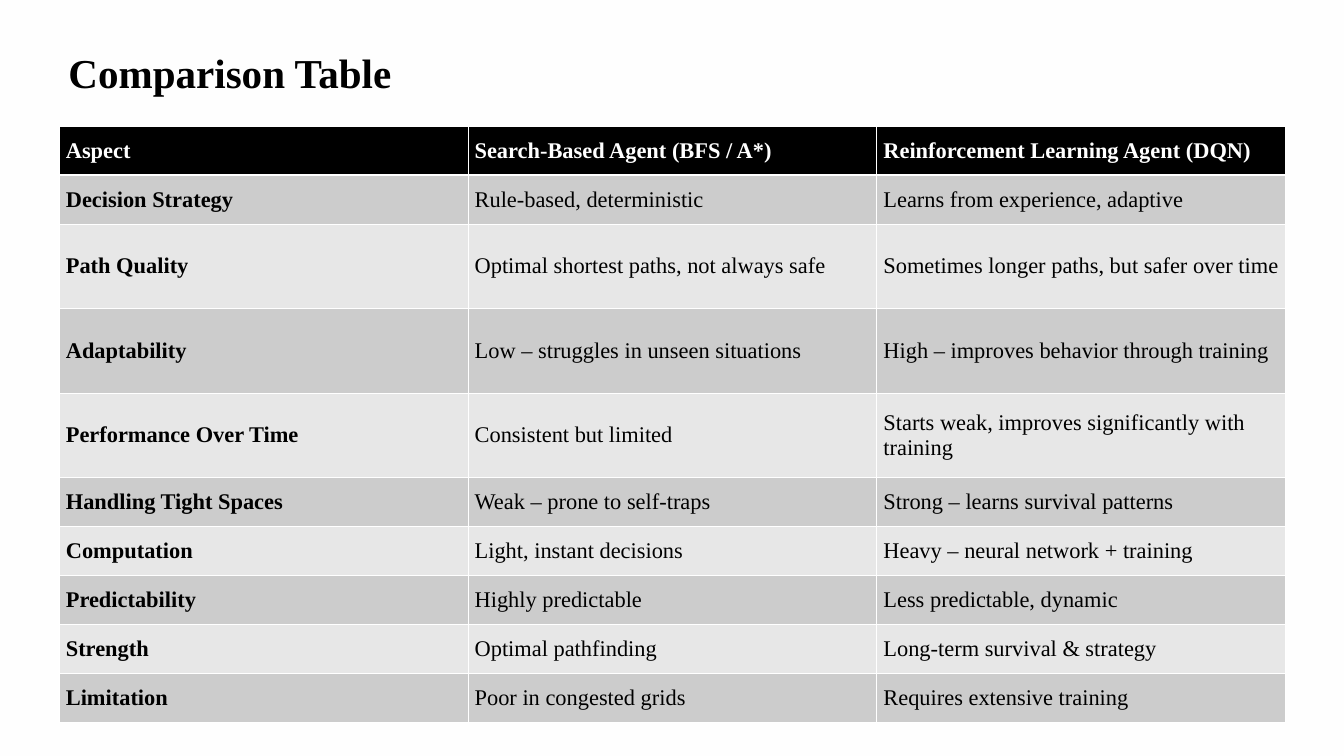
import pptx
import pptx.dml.color
import pptx.enum.text
import pptx.oxml
import pptx.util
from dataclasses import dataclass


@dataclass(frozen=True)
class Theme:
    font: str = "Times New Roman"
    background: str = "FEFEFE"
    ink: str = "000000"
    white: str = "FFFFFF"
    bands: tuple = ("CCCCCC", "E7E7E7")
    title_size: int = 44
    cell_size: int = 24
    thin: int = 1
    thick: int = 3


def rgb(value):
    return pptx.dml.color.RGBColor.from_string(value)


class Deck:
    """Holds the theme and current slide; lengths are units of an 80 x 45 grid."""

    def __init__(self, theme):
        self.theme = theme
        self.prs = pptx.Presentation()
        self.prs.slide_width = pptx.util.Inches(20)
        self.prs.slide_height = pptx.util.Inches(11.25)
        self.s = self.prs.slides.add_slide(self.prs.slide_layouts[6])
        fill = self.s.background.fill
        fill.solid()
        fill.fore_color.rgb = rgb(theme.background)

    def grid(self, *units):
        return [round(u * self.prs.slide_width / 80) for u in units]

    def set_text(self, tf, text, size, color, bold):
        p = tf.paragraphs[0]
        p.text = text
        p.font.name = self.theme.font
        p.font.size = pptx.util.Pt(size)
        p.font.bold = bold
        p.font.color.rgb = rgb(color)

    def title(self, text, x, y, w, h):
        tf = self.s.shapes.add_textbox(*self.grid(x, y, w, h)).text_frame
        tf.word_wrap = True
        self.set_text(tf, text, self.theme.title_size, self.theme.ink, True)

    def borders(self, cell, widths):
        tc_pr = cell._tc.get_or_add_tcPr()
        for side, width in zip("LRTB", widths):
            tc_pr.append(pptx.oxml.parse_xml(
                f'<a:ln{side} xmlns:a="http://schemas.openxmlformats.org/drawingml/2006/main"'
                f' w="{pptx.util.Pt(width)}"><a:solidFill><a:srgbClr val="{self.theme.white}"/>'
                f'</a:solidFill></a:ln{side}>'))

    def table(self, rows, heights, x, y, w):
        t = self.theme
        columns = len(rows[0])
        frame = self.s.shapes.add_table(
            len(rows), columns, *self.grid(x, y, w, sum(heights)))
        table = frame.table
        for column in table.columns:
            column.width = self.grid(w / columns)[0]
        for i, (texts, height) in enumerate(zip(rows, heights)):
            table.rows[i].height = self.grid(height)[0]
            header = i == 0
            top = t.thick if i == 1 else t.thin
            bottom = t.thick if header else t.thin
            for j, text in enumerate(texts):
                cell = table.cell(i, j)
                self.borders(cell, (t.thin, t.thin, top, bottom))
                cell.fill.solid()
                cell.fill.fore_color.rgb = rgb(t.ink if header else t.bands[(i - 1) % 2])
                cell.vertical_anchor = pptx.enum.text.MSO_ANCHOR.MIDDLE
                self.set_text(cell.text_frame, text, t.cell_size,
                              t.white if header else t.ink, header or j == 0)


ROWS = [
    ("Aspect", "Search-Based Agent (BFS / A*)", "Reinforcement Learning Agent (DQN)"),
    ("Decision Strategy", "Rule-based, deterministic", "Learns from experience, adaptive"),
    ("Path Quality", "Optimal shortest paths, not always safe",
     "Sometimes longer paths, but safer over time"),
    ("Adaptability", "Low – struggles in unseen situations",
     "High – improves behavior through training"),
    ("Performance Over Time", "Consistent but limited",
     "Starts weak, improves significantly with training"),
    ("Handling Tight Spaces", "Weak – prone to self-traps", "Strong – learns survival patterns"),
    ("Computation", "Light, instant decisions", "Heavy – neural network + training"),
    ("Predictability", "Highly predictable", "Less predictable, dynamic"),
    ("Strength", "Optimal pathfinding", "Long-term survival & strategy"),
    ("Limitation", "Poor in congested grids", "Requires extensive training"),
]
SINGLE, DOUBLE = 2.91, 5.03


def main():
    deck = Deck(Theme())

    # Comparison table: three tall rows among single-line ones
    heights = [SINGLE] * 2 + [DOUBLE] * 3 + [SINGLE] * 5
    deck.table(ROWS, heights, x=3.52, y=7.52, w=73)

    # Title
    deck.title("Comparison Table", x=3.68, y=2.64, w=22, h=3.36)

    deck.prs.save("out.pptx")


if __name__ == "__main__":
    main()
